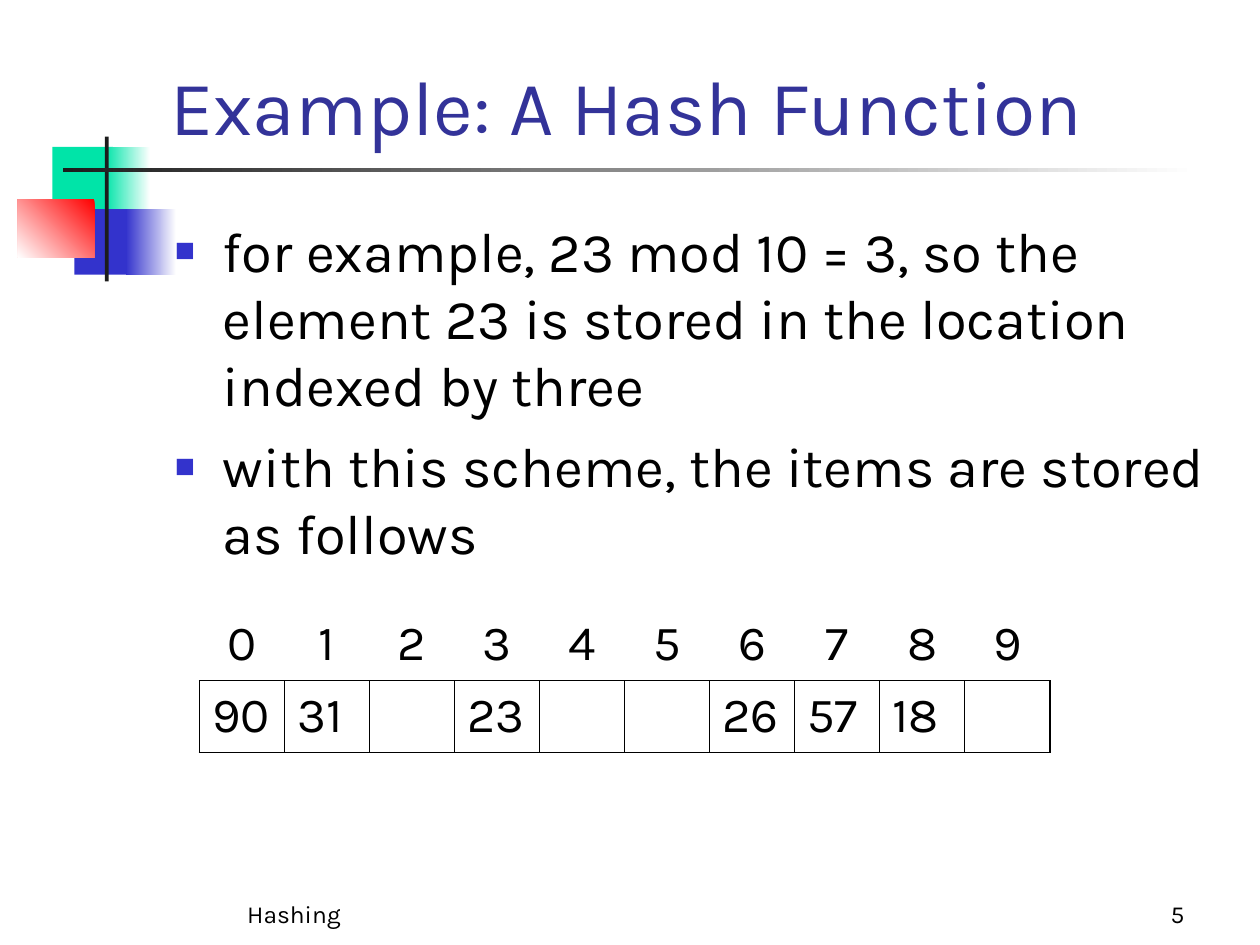
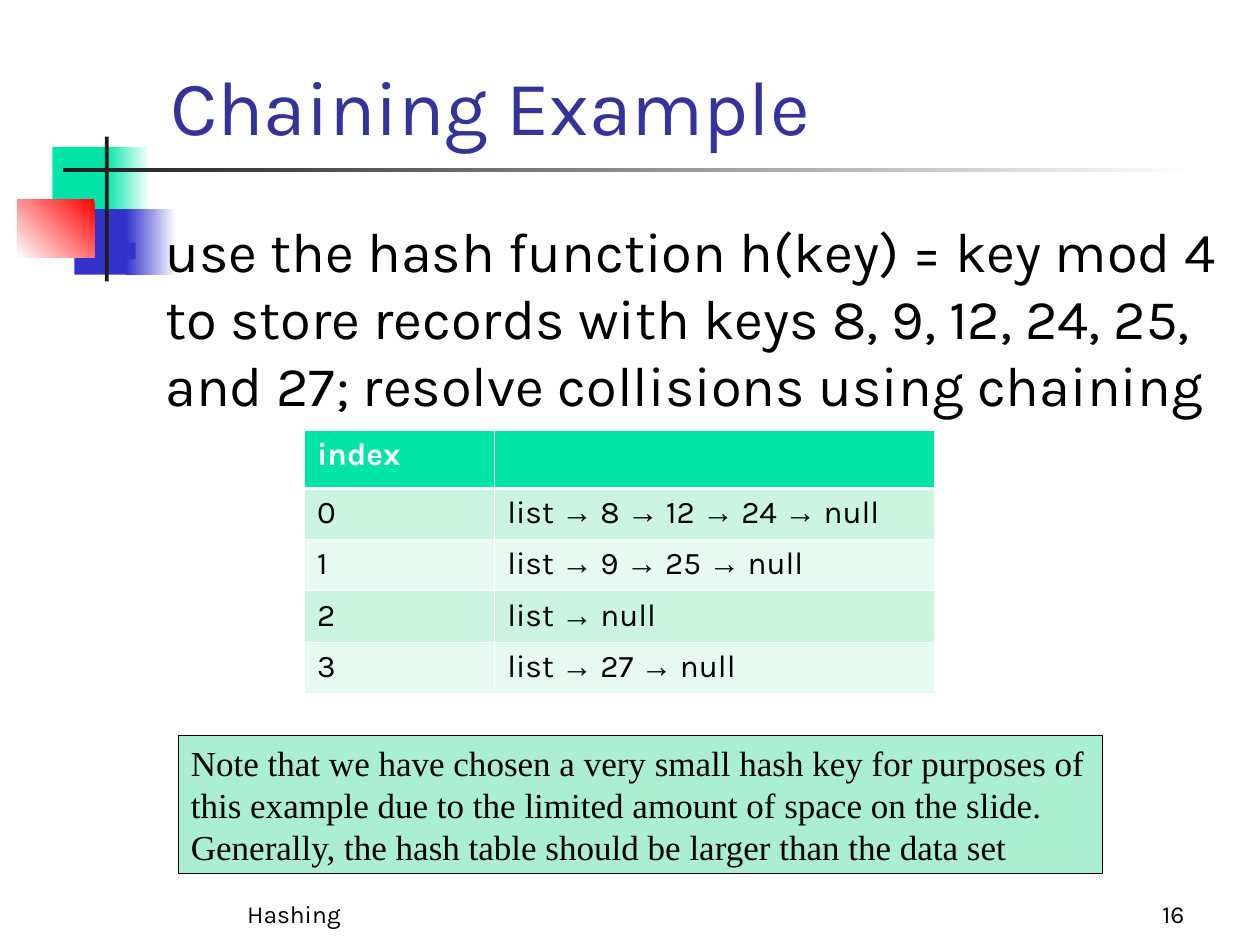
from itertools import groupby

from lxml import etree
from pptx import Presentation
from pptx import util as u
from pptx.dml.color import RGBColor
from pptx.enum import shapes, text
from pptx.oxml import ns

COLS, ROWS = 120, 90  # grid squares across and down the slide
UNIT = u.Inches(10) / COLS
HUES = {
    "ink": "000000", "paper": "FFFFFF", "title": "333399", "green": "00E4A8",
    "blue": "3333CC", "red": "FF0000", "rule": "1C1C1C",
    "band": "CBF5E1", "pale": "E7FAF1", "note": "AAEFD1",
}
FONT, SYMBOL, SERIF = "Karla", "Arial", "Times New Roman"
LEFT, MID, RIGHT = text.PP_ALIGN.LEFT, text.PP_ALIGN.CENTER, text.PP_ALIGN.RIGHT
TOP, LOW = text.MSO_ANCHOR.TOP, text.MSO_ANCHOR.BOTTOM


def hue(name):
    return RGBColor.from_string(HUES[name])


def grid(*squares):
    return [u.Emu(round(n * UNIT)) for n in squares]


def node(parent, tag, **attrs):
    return etree.SubElement(parent, ns.qn(tag), attrs)


# Text
def mark(para):
    """Give a paragraph a square bullet with a hanging indent."""
    props = para._p.get_or_add_pPr()
    hang = u.Inches(0.38)
    props.set("marL", str(hang))
    props.set("indent", str(-hang))
    node(node(props, "a:buClr"), "a:srgbClr", val=HUES["blue"])
    node(props, "a:buSzPct", val="60000")
    node(props, "a:buFont", typeface=SYMBOL)
    node(props, "a:buChar", char="■")


def write(frame, *lines, size=18, font=FONT, color="ink", bold=False,
          align=LEFT, anchor=TOP, bullet=False, gap=0):
    frame.word_wrap = True
    frame.auto_size = text.MSO_AUTO_SIZE.NONE
    frame.vertical_anchor = anchor
    for i, line in enumerate(lines):
        para = frame.add_paragraph() if i else frame.paragraphs[0]
        para.alignment = align
        if i:
            para.space_before = u.Pt(gap)
        if bullet:
            mark(para)
        for arrow, chars in groupby(line, lambda c: c == "→"):
            run = para.add_run()
            run.text = "".join(chars)
            run.font.name = SYMBOL if arrow else font
            run.font.size = u.Pt(size)
            run.font.bold = bold
            run.font.color.rgb = hue(color)


def label(slide, box, *lines, **style):
    write(slide.shapes.add_textbox(*grid(*box)).text_frame, *lines, **style)


# Shapes
def block(slide, box, color, fade=None, angle=180, line=None):
    """Draw a rectangle, plain or fading from color to fade."""
    shape = slide.shapes.add_shape(shapes.MSO_SHAPE.RECTANGLE, *grid(*box))
    shape.shadow.inherit = False
    if fade:
        shape.fill.gradient()
        shape.fill.gradient_angle = angle
        for stop, name in zip(shape.fill.gradient_stops, (color, fade)):
            stop.color.rgb = hue(name)
    else:
        shape.fill.solid()
        shape.fill.fore_color.rgb = hue(color)
    if line:
        shape.line.color.rgb = hue(line)
        shape.line.width = u.Pt(0.5)
    else:
        shape.line.fill.background()
    return shape


# Tables
def table(slide, spot, widths, heights):
    size = sum(widths), sum(heights)
    grid_table = slide.shapes.add_table(
        len(heights), len(widths), *grid(*spot, *size)).table
    grid_table.first_row = grid_table.horz_banding = False
    for col, width in zip(grid_table.columns, grid(*widths)):
        col.width = width
    for row, height in zip(grid_table.rows, grid(*heights)):
        row.height = height
    return grid_table


def edge(cell, color, **sides):
    """Set border widths in points, in the order L, R, T, B."""
    props = cell._tc.get_or_add_tcPr()
    for side, width in sides.items():
        line = node(props, f"a:ln{side}", w=str(u.Pt(width)))
        node(node(line, "a:solidFill"), "a:srgbClr", val=HUES[color])


def array(slide, spot, slots):
    """Show a list of slots with their indexes above."""
    thin, thick, last = 0.45, 1.08, len(slots) - 1
    cells = table(slide, spot, [8.1] * len(slots), [6.84] * 2)
    for i, item in enumerate(slots):
        head, slot = cells.cell(0, i), cells.cell(1, i)
        edge(head, "ink", B=thin)
        edge(slot, "ink", L=thin if i else thick,
             R=thick if i == last else thin, T=thin, B=thick)
        head.fill.background()
        slot.fill.background()
        write(head.text_frame, str(i), size=28, align=MID)
        if item:
            write(slot.text_frame, item, size=28)


def chains(slide, spot, lists):
    """Show each index with its linked list."""
    rows = [("index", "")]
    for i, keys in enumerate(lists):
        rows.append((str(i), " → ".join(["list", *keys, "null"])))
    cells = table(slide, spot, [18.12, 41.88], [5.52] + [4.88] * len(lists))
    for r, row in enumerate(rows):
        fill = ("pale", "band")[r % 2] if r else "green"
        for c, words in enumerate(row):
            cell = cells.cell(r, c)
            edge(cell, "paper", L=0.45, R=0.45,
                 T=1.47 if r == 1 else 0.45, B=0.45 if r else 1.47)
            cell.fill.solid()
            cell.fill.fore_color.rgb = hue(fill)
            if words:
                write(cell.text_frame, words, bold=not r,
                      color="ink" if r else "paper")


# Shared frame of every slide
def motif(slide):
    block(slide, (5, 14, 5.76, 6.24), "green")
    block(slide, (10, 14, 4.32, 6.24), "paper", "green")
    block(slide, (7.08, 19.92, 5.52, 6.24), "blue")
    block(slide, (12, 19.92, 4.8, 6.24), "paper", "blue")
    block(slide, (1.68, 19, 7.32, 5.52), "red", "paper", angle=225)
    block(slide, (10, 13, 0.36, 13.8), "rule")
    block(slide, (6, 16, 108, 0.36), "paper", "rule")


def page(deck, title, number):
    slide = deck.slides.add_slide(deck.slide_layouts[5])
    motif(slide)
    head = slide.shapes.title
    head.left, head.top, head.width, head.height = grid(15, 0, 102.24, 15)
    write(head.text_frame, title, size=44, color="title", anchor=LOW)
    label(slide, (9, 83, 38, 6), "Hashing", size=14, align=MID, anchor=LOW)
    label(slide, (89, 83, 25, 6), str(number), size=14, align=RIGHT, anchor=LOW)
    return slide


def points(slide, box, *lines):
    label(slide, box, *lines, size=32, bullet=True, gap=8)


def main():
    deck = Presentation()
    deck.slide_width, deck.slide_height = grid(COLS, ROWS)

    # Hash function
    slide = page(deck, "Example: A Hash Function", 5)
    points(slide, (15.48, 20, 102, 60.48),
           "for example, 23 mod 10 = 3, so the element 23 is stored in the "
           "location indexed by three",
           "with this scheme, the items are stored as follows")
    array(slide, (19, 58),
          ["90", "31", "", "23", "", "", "26", "57", "18", ""])

    # Chaining
    slide = page(deck, "Chaining Example", 16)
    points(slide, (10, 20, 110, 55),
           "use the hash function h(key) = key mod 4 to store records with "
           "keys 8, 9, 12, 24, 25, and 27; resolve collisions using chaining")
    chains(slide, (29, 41), [["8", "12", "24"], ["9", "25"], [], ["27"]])
    note = block(slide, (17, 70, 88, 13.2), "note", line="ink")
    write(note.text_frame,
          "Note that we have chosen a very small hash key for purposes of "
          "this example due to the limited amount of space on the slide. "
          "Generally, the hash table should be larger than the data set",
          size=20, font=SERIF)

    deck.save("out.pptx")


if __name__ == "__main__":
    main()
